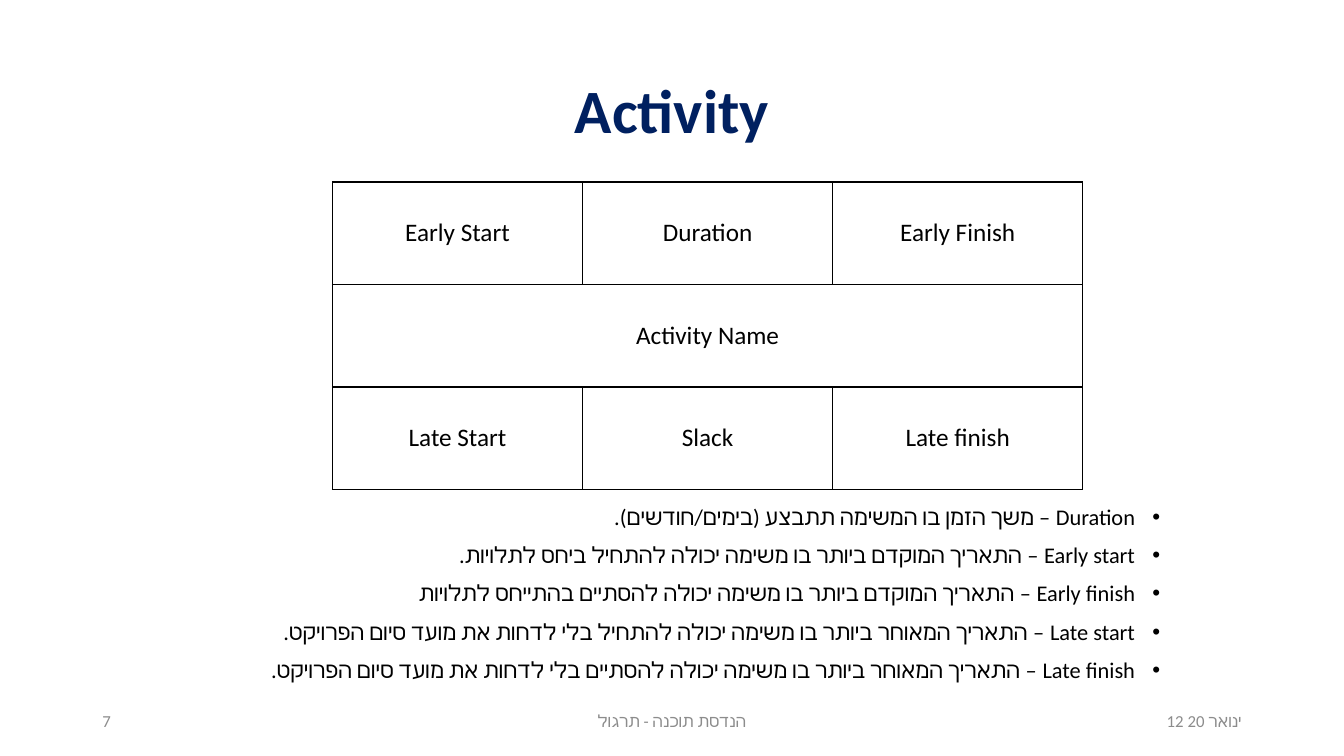
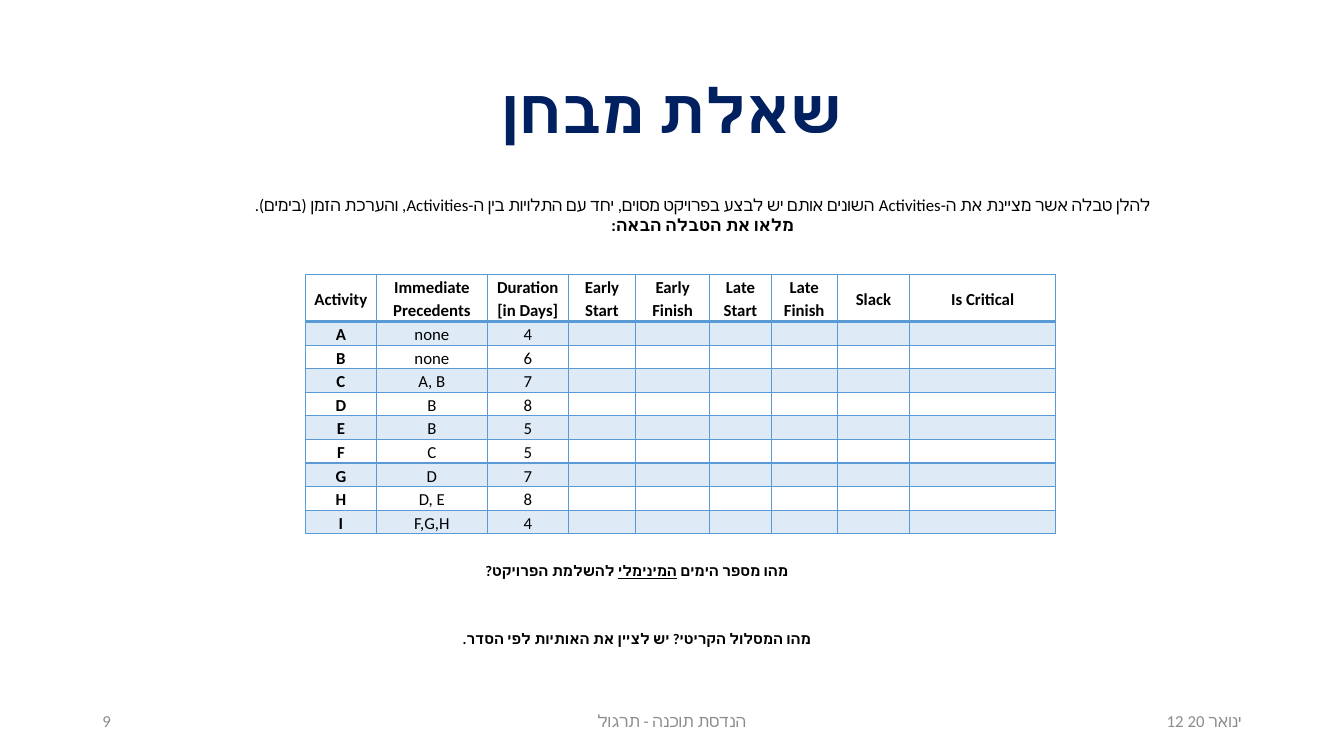
from lxml.etree import SubElement
from pptx import Presentation
from pptx.dml.color import RGBColor
from pptx.enum.text import MSO_ANCHOR, MSO_AUTO_SIZE, PP_ALIGN
from pptx.oxml.ns import qn
from pptx.util import Pt

NAVY = RGBColor(0x00, 0x20, 0x60)
BLACK = RGBColor(0x00, 0x00, 0x00)
GREY = RGBColor(0x8C, 0x8C, 0x8C)
BLUE = RGBColor(0x5B, 0x9B, 0xD5)
PALE = RGBColor(0xDE, 0xEB, 0xF7)
FONT = "Calibri"
LEFT, MID, RIGHT = PP_ALIGN.LEFT, PP_ALIGN.CENTER, PP_ALIGN.RIGHT

FOOT = "הנדסת תוכנה - תרגול"
DATE = "12 ינואר 20"

BOXES = [
    ["Early Start", "Duration", "Early Finish"],
    ["Activity Name", "", ""],
    ["Late Start", "Slack", "Late finish"],
]
TERMS = [
    "Duration – משך הזמן בו המשימה תתבצע (בימים/חודשים).",
    "Early start – התאריך המוקדם ביותר בו משימה יכולה להתחיל ביחס לתלויות.",
    "Early finish – התאריך המוקדם ביותר בו משימה יכולה להסתיים בהתייחס לתלויות",
    "Late start – התאריך המאוחר ביותר בו משימה יכולה להתחיל בלי לדחות את מועד סיום הפרויקט.",
    "Late finish – התאריך המאוחר ביותר בו משימה יכולה להסתיים בלי לדחות את מועד סיום הפרויקט.",
]
HEADS = ["Activity", "Immediate Precedents", "Duration [in Days]", "Early Start",
         "Early Finish", "Late Start", "Late Finish", "Slack", "Is Critical"]
WIDTHS = [51, 79, 58, 48, 53, 44, 47, 52, 104]
TASKS = [("A", "none", "4"), ("B", "none", "6"), ("C", "A, B", "7"),
         ("D", "B", "8"), ("E", "B", "5"), ("F", "C", "5"),
         ("G", "D", "7"), ("H", "D, E", "8"), ("I", "F,G,H", "4")]
INTRO = ("להלן טבלה אשר מציינת את ה-Activities השונים אותם יש לבצע בפרויקט מסוים, "
         "יחד עם התלויות בין ה-Activities, והערכת הזמן (בימים).")
TASK = "מלאו את הטבלה הבאה:"
DAYS = ["מהו מספר הימים ", "המינימלי", " להשלמת הפרויקט?"]
ROUTE = "מהו המסלול הקריטי? יש לציין את האותיות לפי הסדר."


def say(para, text, size=12, color=BLACK, bold=False, line=False,
        align=MID, rtl=False, lead=None, gap=0):
    """Add a run of text to a paragraph and format both."""
    para.alignment = align
    para.space_before = Pt(gap)
    if lead:
        para.line_spacing = lead
    props = para._p.get_or_add_pPr()
    props.set("rtl", "1" if rtl else "0")
    if not text:
        SubElement(para._p, qn("a:endParaRPr")).set("sz", str(size * 100))
        return
    run = para.add_run()
    run.text = text
    font = run.font
    font.name, font.size, font.bold = FONT, Pt(size), bold
    font.underline = line
    font.color.rgb = color
    SubElement(run._r.get_or_add_rPr(), qn("a:cs")).set("typeface", FONT)


def put(shape, box):
    """Move a placeholder to a box and fix its size."""
    shape.left, shape.top, shape.width, shape.height = map(Pt, box)
    shape.text_frame.auto_size = MSO_AUTO_SIZE.NONE
    return shape.text_frame


def label(slide, box, anchor=MSO_ANCHOR.MIDDLE):
    frame = slide.shapes.add_textbox(*map(Pt, box)).text_frame
    frame.word_wrap = True
    frame.vertical_anchor = anchor
    return frame


def edge(cell, color, base=1):
    """Draw the four borders of a cell; base is the width of the lower one."""
    props = cell._tc.get_or_add_tcPr()
    for spot, (side, width) in enumerate(
            [("L", 1), ("R", 1), ("T", 1), ("B", base)]):
        line = props.makeelement(qn("a:ln" + side), {"w": str(Pt(width))})
        fill = SubElement(line, qn("a:solidFill"))
        SubElement(fill, qn("a:srgbClr")).set("val", str(color))
        props.insert(spot, line)


def grid(slide, left, top, cols, rows):
    """Add a plain table with the given column widths and row heights."""
    table = slide.shapes.add_table(
        len(rows), len(cols), Pt(left), Pt(top),
        Pt(sum(cols)), Pt(sum(rows))).table
    table.first_row = table.horz_banding = False
    for col, width in zip(table.columns, cols):
        col.width = Pt(width)
    for row, height in zip(table.rows, rows):
        row.height = Pt(height)
    return table


def frame(deck, layout, title, page):
    """Start a slide with its title and footer line."""
    slide = deck.slides.add_slide(deck.slide_layouts[layout])
    head = put(slide.shapes.title, (66, 29, 828, 104))
    head.vertical_anchor = MSO_ANCHOR.MIDDLE
    say(head.paragraphs[0], title, size=44, color=NAVY, bold=True,
        rtl=True, lead=0.9)
    for left, width, text, align, rtl in [
            (678, 216, DATE, RIGHT, False),
            (318, 324, FOOT, MID, True),
            (66, 216, page, LEFT, False)]:
        foot = label(slide, (left, 500.5, width, 29))
        say(foot.paragraphs[0], text, color=GREY, align=align, rtl=rtl)
    return slide


def model(slide, left, top, width, height):
    """Table that shows the parts of one activity box."""
    size = len(BOXES)
    table = grid(slide, left, top, [width / size] * size, [height / size] * size)
    for r, row in enumerate(BOXES):
        for c, text in enumerate(row):
            cell = table.cell(r, c)
            cell.fill.background()
            cell.vertical_anchor = MSO_ANCHOR.MIDDLE
            edge(cell, BLACK)
            say(cell.text_frame.paragraphs[0], text, size=18)
    table.cell(1, 0).merge(table.cell(1, size - 1))


def terms(slide, box):
    """Bulleted list of definitions, read from right to left."""
    body = put(slide.placeholders[1], box)
    for n, text in enumerate(TERMS):
        para = body.add_paragraph() if n else body.paragraphs[0]
        say(para, text, size=16, align=RIGHT, rtl=True, lead=0.9,
            gap=10 if n else 0)
        props = para._p.get_or_add_pPr()
        props.set("marL", str(Pt(18)))
        props.set("indent", str(-Pt(18)))
        SubElement(props, qn("a:buFont")).set("typeface", "Arial")
        SubElement(props, qn("a:buChar")).set("char", "•")


def plan(slide, left, top):
    """Task table with columns left open for the answers."""
    high = 16.85
    table = grid(slide, left, top, WIDTHS, [2 * high] + [high] * len(TASKS))
    blank = [""] * (len(HEADS) - len(TASKS[0]))
    for r, row in enumerate([HEADS] + [[*task, *blank] for task in TASKS]):
        for c, text in enumerate(row):
            cell = table.cell(r, c)
            cell.margin_left = cell.margin_right = Pt(5)
            cell.margin_top = cell.margin_bottom = 0
            cell.vertical_anchor = MSO_ANCHOR.BOTTOM if r else MSO_ANCHOR.MIDDLE
            if r % 2:
                cell.fill.solid()
                cell.fill.fore_color.rgb = PALE
            else:
                cell.fill.background()
            edge(cell, BLUE, base=1 if r else 2)
            say(cell.text_frame.paragraphs[0], text,
                bold=r == 0 or c == 0, lead=1.15)


def intro(slide, box):
    text = label(slide, box)
    say(text.paragraphs[0], INTRO, rtl=True)
    say(text.add_paragraph(), TASK, bold=True, rtl=True)


def ask(slide, box):
    """The two questions below the task table."""
    text = label(slide, box, MSO_ANCHOR.TOP)
    look = dict(size=10.5, bold=True, rtl=True, lead=1.15)
    for n, part in enumerate(DAYS):
        say(text.paragraphs[0], part, line=n == 1, **look)
    say(text.add_paragraph(), ROUTE, gap=34, **look)


def main():
    deck = Presentation()
    deck.slide_width, deck.slide_height = Pt(960), Pt(540)

    # Parts of an activity
    slide = frame(deck, 1, "Activity", "7")
    model(slide, 237.5, 130, 536, 219.6)
    terms(slide, (106.5, 358, 729.5, 132))

    # Exam question
    slide = frame(deck, 5, "שאלת מבחן", "9")
    plan(slide, 218, 196)
    intro(slide, (174, 135.5, 656, 36))
    ask(slide, (273.5, 396, 363, 95))

    deck.save("out.pptx")


if __name__ == "__main__":
    main()
